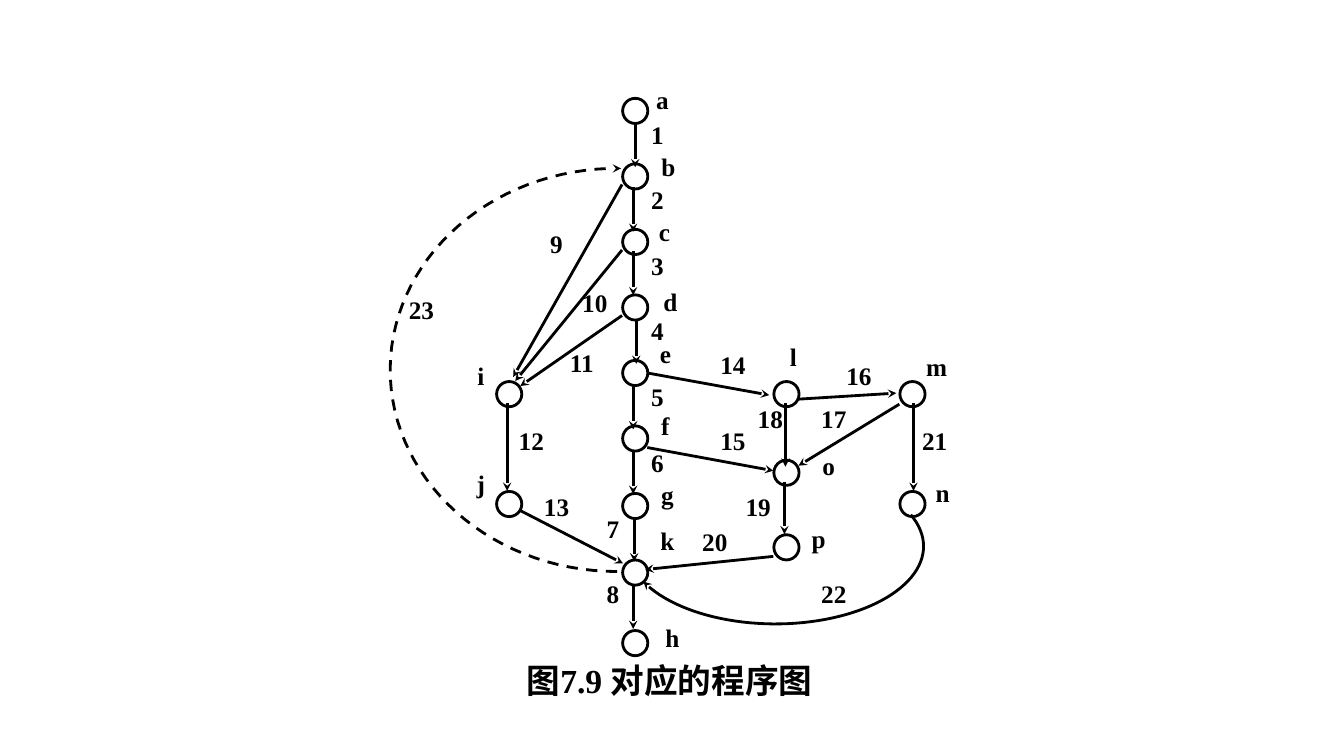
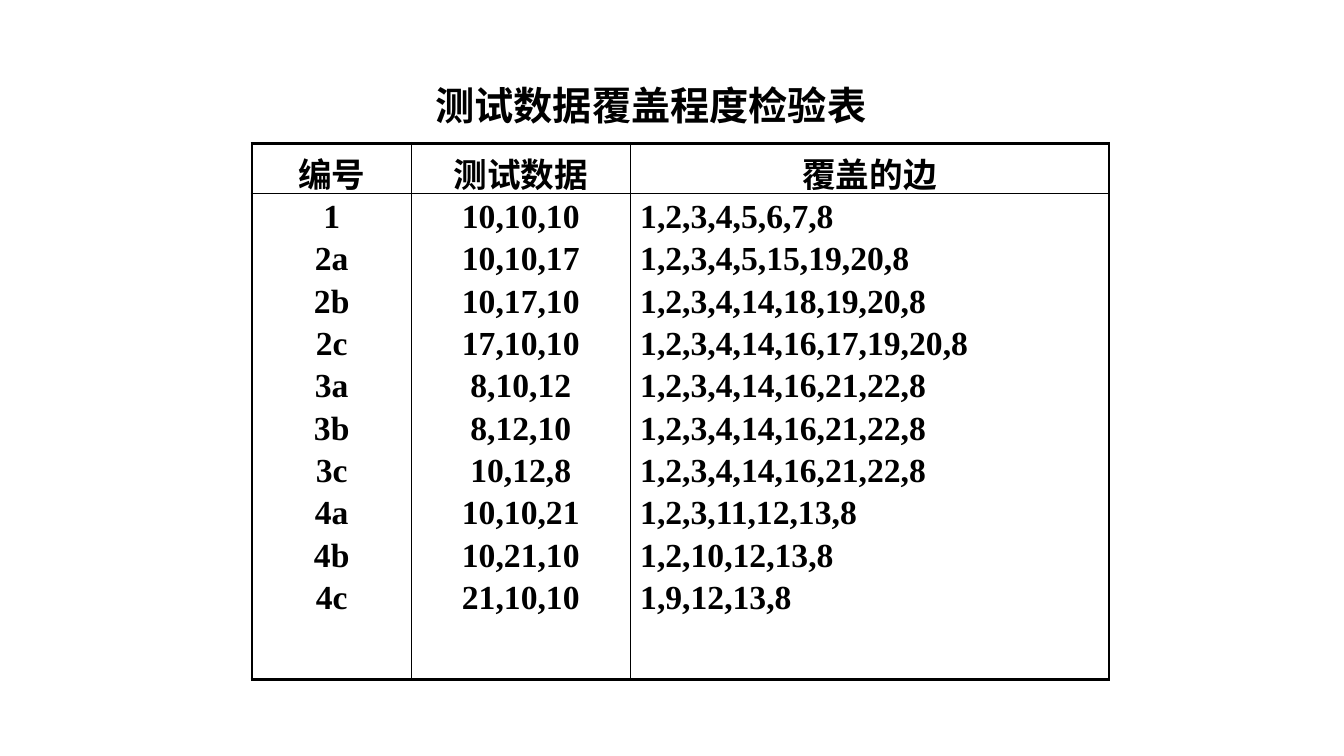
from math import cos, radians, sin

from lxml.etree import SubElement
from pptx import Presentation
from pptx.dml.color import RGBColor
from pptx.enum.dml import MSO_LINE_DASH_STYLE as DASH
from pptx.enum.shapes import MSO_CONNECTOR as CONN, MSO_SHAPE as SHAPE
from pptx.enum.text import PP_ALIGN as ALIGN
from pptx.oxml.ns import qn
from pptx.util import Inches, Pt

BLACK = RGBColor(0, 0, 0)
FONT = "Times New Roman"
CELL = Inches(0.25)  # one grid cell is the diameter of a node
X0, Y0 = 20.2, 4.4  # graph origin on the slide grid: column of i, row of a

prs = Presentation()
prs.slide_width, prs.slide_height = Inches(13.33), Inches(7.5)
blank = prs.slide_layouts[6]


def grid(*cells):
    return [round(n * CELL) for n in cells]


def write(tf, lines, size, align=ALIGN.CENTER, gap=0):
    tf.word_wrap = True
    for n, line in enumerate(lines):
        p = tf.add_paragraph() if n else tf.paragraphs[0]
        p.text = line
        p.alignment = align
        p.space_before = Pt(gap)
        p.font.name, p.font.size, p.font.bold = FONT, Pt(size), True
        p.font.color.rgb = BLACK


# Slide 1: program graph
s = prs.slides.add_slide(blank)

# Nodes: name, column, row, label column, label row
nodes = [
    ("a", 5, 0, 6.08, -1.04), ("b", 5, 2.6, 6.32, 1.6),
    ("c", 5, 5.2, 6.16, 4.2), ("d", 5, 7.8, 6.4, 6.96),
    ("e", 5, 10.4, 6.2, 9.04), ("f", 5, 13, 6.2, 11.88),
    ("g", 5, 15.68, 6.28, 14.64), ("k", 5, 18.32, 6.28, 16.44),
    ("h", 5, 21.12, 6.48, 20.28), ("i", 0, 11.24, -1.12, 9.88),
    ("j", 0, 15.6, -1.12, 14.2), ("l", 11, 11.24, 11.28, 9.16),
    ("m", 16, 11.24, 16.96, 9.56), ("o", 11, 14.36, 12.68, 13.48),
    ("n", 16, 15.6, 17.2, 14.56), ("p", 11, 17.32, 12.28, 16.36),
]
# Straight edges: number, start, end, label position
edges = [
    (1, (5, 0.52), (5, 2.24), (5.88, 0.32)),
    (2, (4.92, 3.04), (4.92, 4.8), (5.88, 2.92)),
    (3, (4.92, 5.56), (4.92, 7.32), (5.88, 5.52)),
    (4, (5.04, 8.28), (5.04, 10.04), (5.88, 8.12)),
    (5, (4.92, 10.92), (4.92, 12.64), (5.88, 10.72)),
    (6, (4.92, 13.48), (4.92, 15.2), (5.88, 13.36)),
    (7, (4.96, 16.16), (4.96, 17.88), (4.12, 15.96)),
    (8, (4.92, 18.84), (4.92, 20.56), (4.12, 18.56)),
    (9, (4.48, 2.92), (0.16, 10.56), (1.88, 4.68)),
    (10, (4.48, 5.52), (0.24, 10.72), (3.4, 7)),
    (11, (4.48, 8.12), (0.44, 10.92), (2.88, 9.4)),
    (12, (-0.08, 11.6), (-0.08, 15.08), (0.88, 12.48)),
    (13, (0.4, 15.84), (4.52, 17.96), (1.88, 15.08)),
    (14, (5.48, 10.4), (10.32, 11.28), (8.88, 9.48)),
    (15, (5.48, 13.36), (10.48, 14.28), (8.88, 12.48)),
    (16, (11.48, 11.44), (15.36, 11.2), (13.88, 9.88)),
    (17, (15.48, 11.64), (11.48, 14.08), (12.88, 11.6)),
    (18, (10.96, 11.6), (10.96, 14.12), (10.36, 11.6)),
    (19, (10.92, 14.72), (10.92, 16.8), (9.88, 15.08)),
    (20, (10.48, 17.68), (5.4, 18.2), (8.16, 16.48)),
    (21, (16.04, 11.6), (16.04, 15.08), (16.88, 12.48)),
]
# Curved edges: number, centre, radii, angles, dash, label position
curves = [
    (22, (10.56, 17.28), (5.88, 3.08), (-24, 153), None, (12.88, 18.56)),
    (23, (4.28, 10.28), (9, 8), (90, 271), DASH.DASH, (-3.48, 7.28)),
]
labels = [(name, x, y) for name, _, _, x, y in nodes]
labels += [(str(edge[0]), *edge[-1]) for edge in edges + curves]

for _, col, row, _, _ in nodes:
    sp = s.shapes.add_shape(
        SHAPE.OVAL, *grid(X0 + col - 0.5, Y0 + row - 0.5, 1, 1))
    sp.shadow.inherit = False
    sp.fill.background()
    sp.line.color.rgb, sp.line.width = BLACK, Pt(2)

arrows = []
for _, (x1, y1), (x2, y2), _ in edges:
    line = s.shapes.add_connector(
        CONN.STRAIGHT, *grid(X0 + x1, Y0 + y1, X0 + x2, Y0 + y2))
    SubElement(line.element.spPr, qn("a:effectLst"))
    arrows.append((line, None))

STEPS = 60
for _, (cx, cy), (rx, ry), (start, end), dash, _ in curves:
    angles = [radians(start + (end - start) * n / STEPS)
              for n in range(STEPS + 1)]
    points = [grid(X0 + cx + rx * cos(t), Y0 + cy + ry * sin(t))
              for t in angles]
    outline = s.shapes.build_freeform(*points[0])
    outline.add_line_segments(points[1:], close=False)
    sp = outline.convert_to_shape()
    sp.shadow.inherit = False
    sp.fill.background()
    arrows.append((sp, dash))

for arrow, dash in arrows:
    arrow.line.color.rgb, arrow.line.width = BLACK, Pt(2)
    if dash:
        arrow.line.dash_style = dash
    ln = arrow.element.spPr.find(qn("a:ln"))
    SubElement(ln, qn("a:tailEnd"), type="stealth")

# Labels and caption: text, centre column, top row, width, size
texts = [(text, x, y, 2.8, 18) for text, x, y in labels]
texts.append(("图7.9 对应的程序图", 6.36, 21.8, 13.76, 24))
for text, x, y, width, size in texts:
    tf = s.shapes.add_textbox(
        *grid(X0 + x - width / 2, Y0 + y, width, 1.72)).text_frame
    tf.margin_left = tf.margin_right = tf.margin_top = tf.margin_bottom = 0
    write(tf, [text], size)

# Slide 2: coverage table
s = prs.slides.add_slide(blank)
box = s.shapes.add_textbox(*grid(16.32, 3.04, 19, 2.28))
write(box.text_frame, ["测试数据覆盖程度检验表"], 28)

header = ["编号", "测试数据", "覆盖的边"]
cases = [
    ("1", "10,10,10", "1,2,3,4,5,6,7,8"),
    ("2a", "10,10,17", "1,2,3,4,5,15,19,20,8"),
    ("2b", "10,17,10", "1,2,3,4,14,18,19,20,8"),
    ("2c", "17,10,10", "1,2,3,4,14,16,17,19,20,8"),
    ("3a", "8,10,12", "1,2,3,4,14,16,21,22,8"),
    ("3b", "8,12,10", "1,2,3,4,14,16,21,22,8"),
    ("3c", "10,12,8", "1,2,3,4,14,16,21,22,8"),
    ("4a", "10,10,21", "1,2,3,11,12,13,8"),
    ("4b", "10,21,10", "1,2,10,12,13,8"),
    ("4c", "21,10,10", "1,9,12,13,8"),
]
widths, heights = grid(6.32, 8.68, 19), grid(2, 19.28)
table = s.shapes.add_table(
    2, 3, *grid(10, 5.68), sum(widths), sum(heights)).table
table.first_row = table.horz_banding = False
for row, height in zip(table.rows, heights):
    row.height = height
for col, width in enumerate(widths):
    table.columns[col].width = width
    for row, lines in enumerate([[header[col]], [c[col] for c in cases]]):
        cell = table.cell(row, col)
        left = row == 1 and col == 2
        write(cell.text_frame, lines, 24,
              ALIGN.LEFT if left else ALIGN.CENTER, 3.7)
        # Thick outer borders, thin inner ones
        tcPr = cell._tc.get_or_add_tcPr()
        sides = [("L", col == 0), ("R", col == 2),
                 ("T", row == 0), ("B", row == 1)]
        for side, outer in sides:
            width_pt = Pt(2.25 if outer else 1)
            ln = SubElement(tcPr, qn(f"a:ln{side}"), w=str(int(width_pt)))
            fill = SubElement(ln, qn("a:solidFill"))
            SubElement(fill, qn("a:srgbClr"), val=str(BLACK))
        cell.fill.background()

prs.save("out.pptx")
